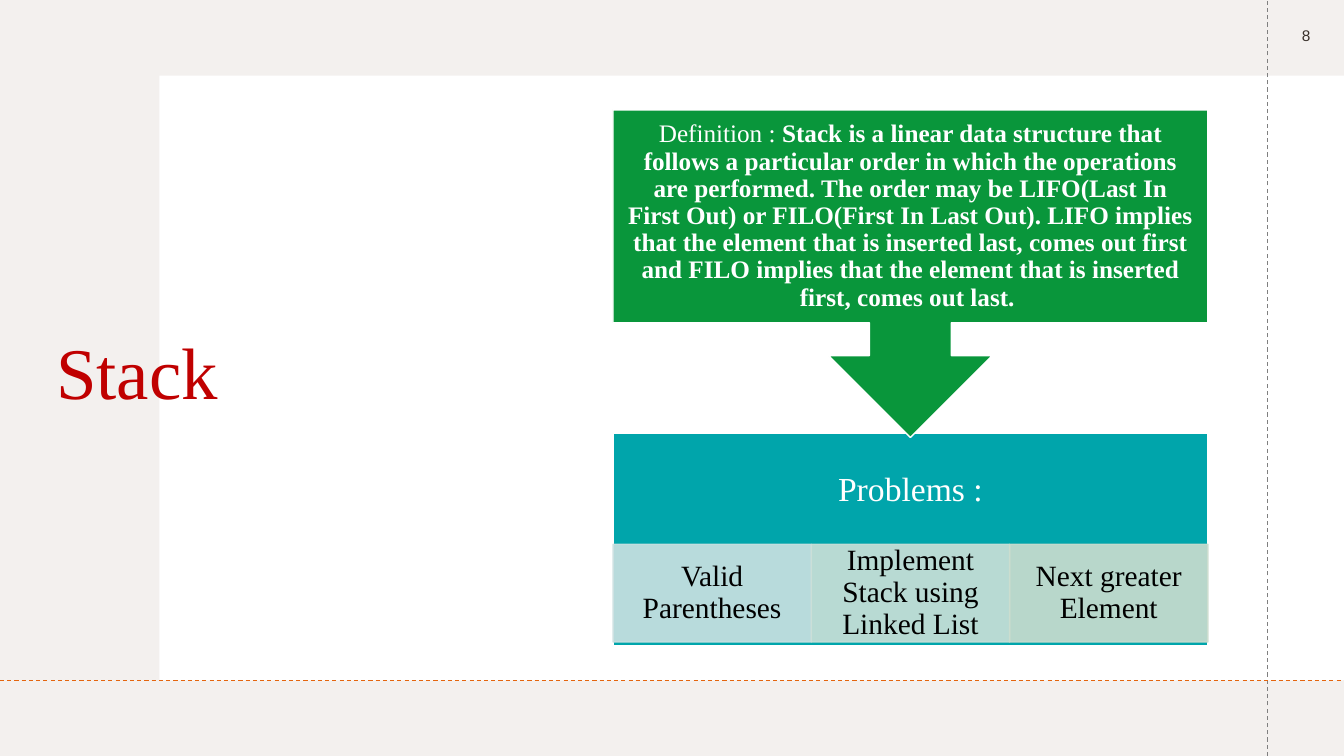
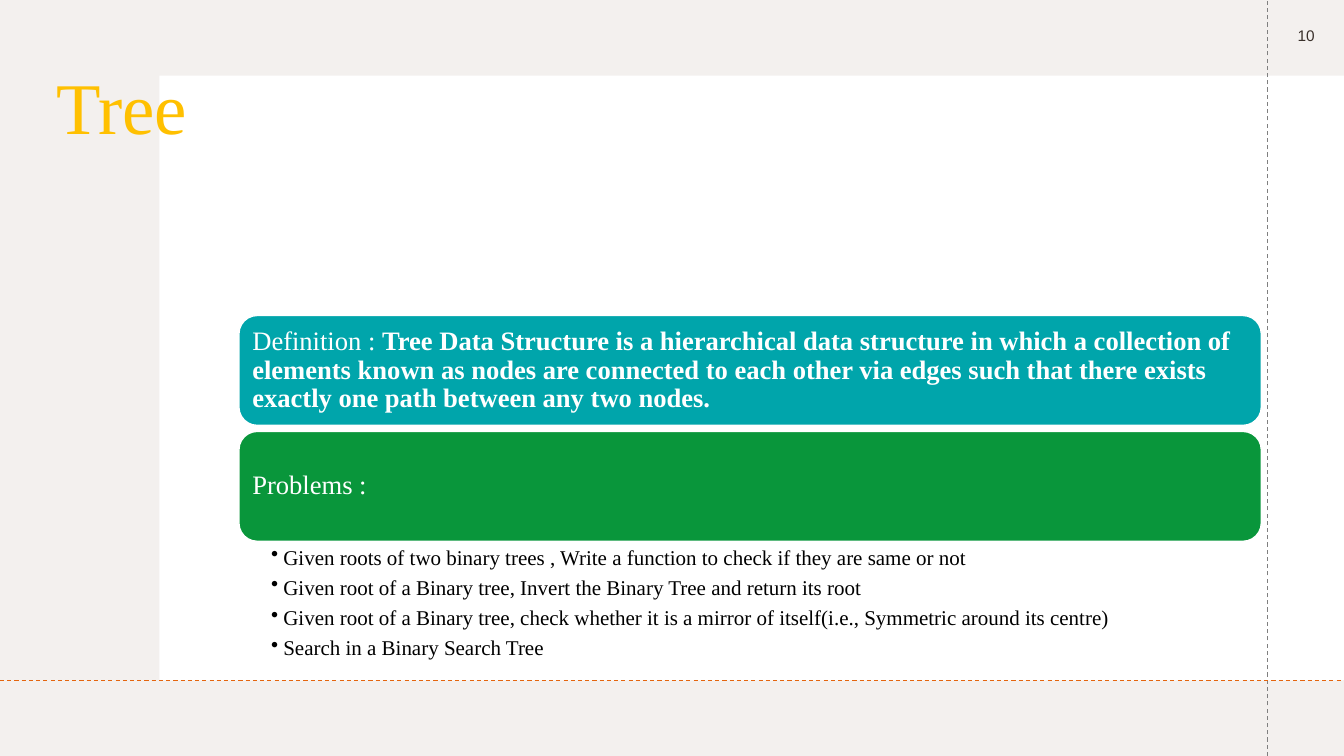
from dataclasses import dataclass

from lxml.etree import SubElement
from pptx import Presentation
from pptx.dml.color import RGBColor
from pptx.enum.dml import MSO_LINE
from pptx.enum.shapes import MSO_CONNECTOR, MSO_SHAPE
from pptx.enum.text import MSO_ANCHOR, PP_ALIGN
from pptx.oxml.ns import qn
from pptx.util import Inches, Pt


@dataclass(frozen=True)
class Theme:
    serif: str = "Times New Roman"
    sans: str = "Arial"
    white: str = "FFFFFF"
    black: str = "000000"
    sand: str = "E5DEDB"
    number: str = "39302A"
    orange: str = "E4650E"
    grey: str = "7F7F7F"
    teal: str = "00A5AB"
    green: str = "09963B"
    red: str = "C00000"
    gold: str = "FFC000"
    tints: tuple = ("CCE1E2", "CCE0D8", "CCDDCF")
    title_size: int = 52
    heading_size: int = 24
    tile_size: int = 21
    row_size: int = 19
    callout_size: int = 18
    bullet_size: int = 15
    number_size: int = 11


THEME = Theme()
WIDTH, HEIGHT = 13.33, 7.5
PANEL = (1.58, 0.75, 11.75, 6)
RULE_X, RULE_Y = 12.57, 6.75


def set_alpha(color_format_parent, percent):
    for color in color_format_parent.iter(qn("a:srgbClr")):
        SubElement(color, qn("a:alpha")).set("val", str(percent * 1000))


def add_block(slide, box, fill, preset=MSO_SHAPE.RECTANGLE, outline=None, opacity=100):
    block = slide.shapes.add_shape(preset, *map(Inches, box))
    block.shadow.inherit = False
    block.fill.solid()
    block.fill.fore_color.rgb = RGBColor.from_string(fill)
    if outline:
        block.line.color.rgb = RGBColor.from_string(outline)
        block.line.width = Pt(1)
    else:
        block.line.fill.background()
    if opacity < 100:
        set_alpha(block.element.spPr, opacity)
    return block


def add_rule(slide, start, end, color):
    rule = slide.shapes.add_connector(
        MSO_CONNECTOR.STRAIGHT, *map(Inches, (*start, *end)))
    rule.line.color.rgb = RGBColor.from_string(color)
    rule.line.width = Pt(0.75)
    rule.line.dash_style = MSO_LINE.DASH
    SubElement(rule.element.spPr, qn("a:effectLst"))


def write_paragraph(paragraph, runs, size, color, font, align, spacing):
    paragraph.alignment = align
    paragraph.line_spacing = spacing
    for text, bold in runs:
        run = paragraph.add_run()
        run.text = text
        formats = {"name": font, "size": Pt(size), "bold": bold}
        for attribute, value in formats.items():
            setattr(run.font, attribute, value)
        run.font.color.rgb = RGBColor.from_string(color)


def write(shape, paragraphs, size, color, font=THEME.serif, align=PP_ALIGN.LEFT,
          anchor=MSO_ANCHOR.MIDDLE, insets=(0.1, 0.05, 0.1, 0.05), spacing=0.9):
    frame = shape.text_frame
    left, top, right, bottom = map(Inches, insets)
    formats = {
        "word_wrap": True, "vertical_anchor": anchor,
        "margin_left": left, "margin_top": top,
        "margin_right": right, "margin_bottom": bottom,
    }
    for attribute, value in formats.items():
        setattr(frame, attribute, value)
    for index, runs in enumerate(paragraphs):
        paragraph = frame.add_paragraph() if index else frame.paragraphs[0]
        write_paragraph(paragraph, runs, size, color, font, align, spacing)
    return frame


def plain(text):
    return [(text, False)]


def add_backdrop(slide):
    add_block(slide, (0, 0, WIDTH, HEIGHT), THEME.sand, opacity=45)
    add_block(slide, PANEL, THEME.white)


def add_title(slide, box, text, color, anchor):
    title = slide.shapes.add_textbox(*map(Inches, box))
    write(title, [plain(text)], THEME.title_size, color, anchor=anchor)


def add_margin_marks(slide, number):
    page = slide.shapes.add_textbox(*map(Inches, (12.58, -0.02, 0.75, 0.75)))
    write(page, [plain(number)], THEME.number_size, THEME.number,
          font=THEME.sans, align=PP_ALIGN.CENTER, spacing=1.0)
    add_rule(slide, (RULE_X, HEIGHT), (RULE_X, 0), THEME.grey)
    add_rule(slide, (0, RULE_Y), (WIDTH, RULE_Y), THEME.orange)


def start_slide(deck, number, title, color, title_box, anchor):
    slide = deck.slides.add_slide(deck.slide_layouts[6])
    add_backdrop(slide)
    add_title(slide, title_box, title, color, anchor)
    add_margin_marks(slide, number)
    return slide


def add_problem_tiles(slide, box, heading, problems):
    left, top, width, height = box
    tile_top, tile_height = 1.1, 0.97
    tile_width = width / len(problems)
    panel = add_block(slide, box, THEME.teal, outline=THEME.white)
    write(panel, [plain(heading)], THEME.heading_size, THEME.white,
          align=PP_ALIGN.CENTER, insets=(0.19, 0.19, 0.19, tile_height + 0.19))
    for index, (problem, tint) in enumerate(zip(problems, THEME.tints)):
        tile_box = (left + index * tile_width, top + tile_top, tile_width, tile_height)
        tile = add_block(slide, tile_box, tint, outline=tint, opacity=90)
        write(tile, [plain(problem)], THEME.tile_size, THEME.black,
              align=PP_ALIGN.CENTER, insets=(0.16, 0.03, 0.16, 0.03))


def add_definition_callout(slide, box, runs):
    callout = add_block(slide, box, THEME.green, MSO_SHAPE.DOWN_ARROW_CALLOUT,
                        outline=THEME.white)
    write(callout, [runs], THEME.callout_size, THEME.white,
          align=PP_ALIGN.CENTER, insets=(0.14,) * 4)


def add_rounded_rows(slide, box, rows):
    left, top, width, height = box
    gap = 0.06
    row_height = (height - gap * (len(rows) - 1)) / len(rows)
    for index, (runs, fill) in enumerate(rows):
        row_box = (left, top + index * (row_height + gap), width, row_height)
        row = add_block(slide, row_box, fill, MSO_SHAPE.ROUNDED_RECTANGLE,
                        outline=THEME.white)
        write(row, [runs], THEME.row_size, THEME.white, insets=(0.08,) * 4)


def add_bullets(slide, box, items):
    bullets = slide.shapes.add_textbox(*map(Inches, box))
    frame = write(bullets, [plain(item) for item in items], THEME.bullet_size,
                  THEME.black, anchor=MSO_ANCHOR.TOP,
                  insets=(0.32, 0.03, 0.15, 0.03), spacing=1.0)
    indent = Inches(0.12)
    for paragraph in frame.paragraphs:
        paragraph.space_after = Pt(3.5)
        properties = paragraph._p.get_or_add_pPr()
        properties.set("marL", str(indent))
        properties.set("indent", str(-indent))
        SubElement(properties, qn("a:buChar")).set("char", "•")


def build_stack(deck):
    slide = start_slide(deck, "8", "Stack", THEME.red,
                        (0.46, 1.11, 5.32, 5.24), MSO_ANCHOR.MIDDLE)
    add_problem_tiles(slide, (6.08, 4.3, 5.9, 2.11), "Problems :", [
        "Valid Parentheses",
        "Implement Stack using Linked List",
        "Next greater Element",
    ])
    add_definition_callout(slide, (6.08, 1.09, 5.9, 3.25), [
        ("Definition : ", False),
        ("Stack is a linear data structure that follows a particular order in "
         "which the operations are performed. The order may be LIFO(Last In "
         "First Out) or FILO(First In Last Out). LIFO implies that the element "
         "that is inserted last, comes out first and FILO implies that the "
         "element that is inserted first, comes out last. ", True),
    ])


def build_tree(deck):
    slide = start_slide(deck, "10", "Tree", THEME.gold,
                        (0.46, 0.66, 11.88, 2.31), MSO_ANCHOR.TOP)
    definition = [
        ("Definition : ", False),
        ("Tree Data Structure is a hierarchical data structure in which a "
         "collection of elements known as nodes are connected to each other "
         "via edges such that there exists exactly one path between any two "
         "nodes.", True),
    ]
    add_rounded_rows(slide, (2.37, 3.13, 10.14, 2.24), [
        (definition, THEME.teal),
        (plain("Problems :"), THEME.green),
    ])
    add_bullets(slide, (2.37, 5.37, 10.14, 1.16), [
        "Given roots of two binary trees , Write a function to check if they "
        "are same or not",
        "Given root of a Binary tree, Invert the Binary Tree and return its root",
        "Given root of a Binary tree, check whether it is a mirror of "
        "itself(i.e., Symmetric around its centre)",
        "Search in a Binary Search Tree",
    ])


def main():
    deck = Presentation()
    deck.slide_width = Inches(WIDTH)
    deck.slide_height = Inches(HEIGHT)
    build_stack(deck)
    build_tree(deck)
    deck.save("out.pptx")


if __name__ == "__main__":
    main()
